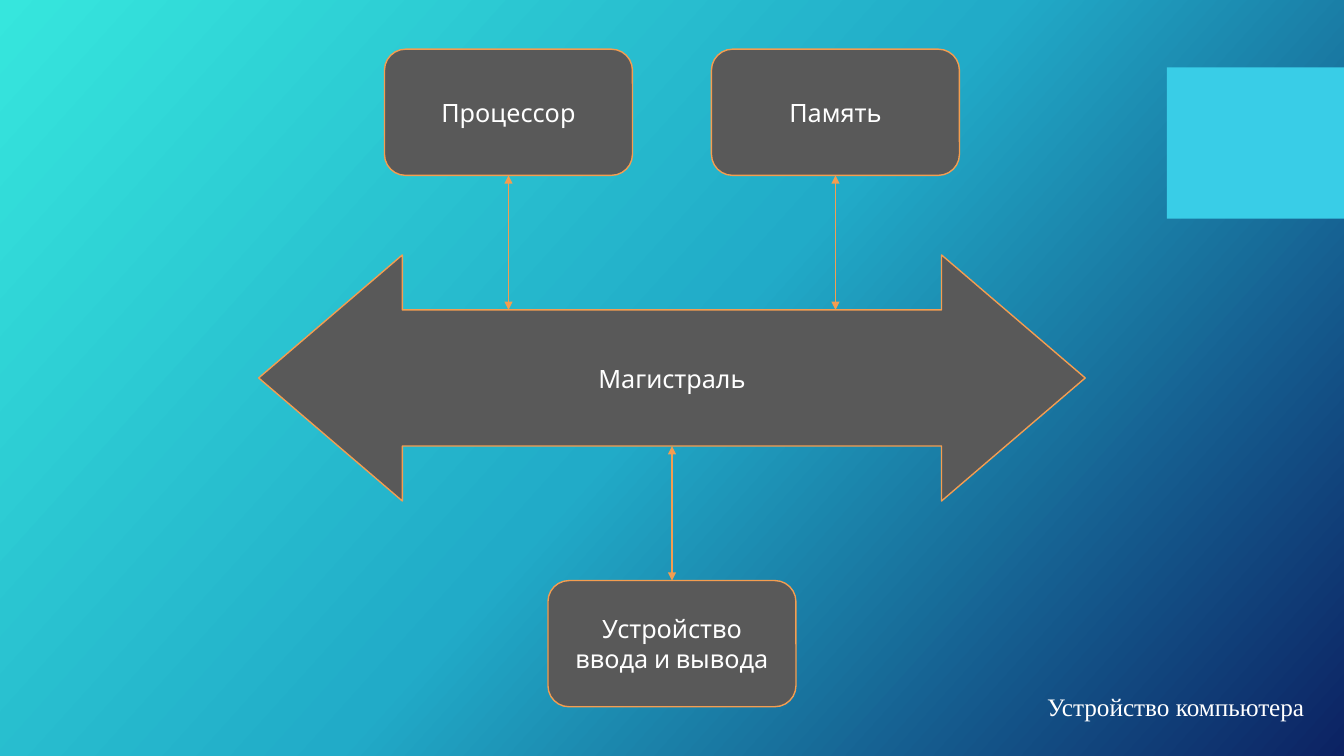
from copy import deepcopy

from lxml import etree
from pptx import Presentation
from pptx.dml.color import RGBColor
from pptx.enum.shapes import MSO_CONNECTOR, MSO_SHAPE
from pptx.enum.text import MSO_AUTO_SIZE, PP_ALIGN
from pptx.oxml.ns import qn
from pptx.util import Cm, Pt

RECTANGLE = MSO_SHAPE.RECTANGLE
ROUNDED = MSO_SHAPE.ROUNDED_RECTANGLE
DOUBLE_ARROW = MSO_SHAPE.LEFT_RIGHT_ARROW
STRAIGHT = MSO_CONNECTOR.STRAIGHT
CENTER = PP_ALIGN.CENTER
FIT_SHAPE = MSO_AUTO_SIZE.SHAPE_TO_FIT_TEXT

CAPTION = "Устройство компьютера"
BUS = "Магистраль"
DEVICES = [
    ("Процессор", -4.12, "above"),
    ("Память", 4.12, "above"),
    ("Устройство ввода и вывода", 0, "below"),
]

COLORS = {
    "block": "595959",
    "outline": "F49D50",
    "text": "FFFFFF",
    "accent": "39CDE7",
}
BACKGROUND = [(0, "36E6DD"), (0.5, "21ABC8"), (1, "0C2263")]
BACKGROUND_ANGLE = 42
BLOCK_FONT, CAPTION_FONT = "Cabin", "Times New Roman"

SLIDE_W, SLIDE_H = 33.87, 19.05
CENTER_X, CENTER_Y = SLIDE_W / 2, SLIDE_H / 2
DEVICE_W, DEVICE_H, MARGIN = 6.25, 3.18, 1.24
BUS_W, BUS_H = 20.83, 6.2
SHAFT_RATIO, HEAD_RATIO = 0.553, 0.584
ACCENT_BOX = (29.41, 1.7, 4.46, 3.81)
CAPTION_BOX = (26.14, 17.3, 7.01, 1.02)


def rgb(name):
    return RGBColor.from_string(COLORS[name])


def style_text(paragraph, text, font_name):
    paragraph.text = text
    paragraph.font.name = font_name
    paragraph.font.size = Pt(18)
    paragraph.font.color.rgb = rgb("text")


def paint_background(slide):
    fill = slide.background.fill
    fill.gradient()
    fill.gradient_angle = 360 - BACKGROUND_ANGLE
    stop_list = slide.element.find(".//" + qn("a:gsLst"))
    stop_list.insert(1, deepcopy(stop_list[0]))
    for stop, (position, color) in zip(fill.gradient_stops, BACKGROUND):
        stop.position = position
        stop.color.rgb = RGBColor.from_string(color)


def add_filled(slide, kind, box, color):
    shape = slide.shapes.add_shape(kind, *map(Cm, box))
    shape.shadow.inherit = False
    shape.fill.solid()
    shape.fill.fore_color.rgb = rgb(color)
    shape.line.fill.background()
    return shape


def add_block(slide, kind, text, box):
    block = add_filled(slide, kind, box, "block")
    block.line.color.rgb = rgb("outline")
    block.line.width = Pt(1)
    label = block.text_frame.paragraphs[0]
    label.alignment = CENTER
    style_text(label, text, BLOCK_FONT)
    return block


def add_link(slide, x, top, bottom):
    link = slide.shapes.add_connector(STRAIGHT, Cm(x), Cm(top), Cm(x), Cm(bottom))
    link.line.color.rgb = rgb("outline")
    link.line.width = Pt(0.75)
    outline = link.line._get_or_add_ln()
    for end in ("a:headEnd", "a:tailEnd"):
        etree.SubElement(outline, qn(end), type="triangle")
    etree.SubElement(outline.getparent(), qn("a:effectLst"))


def add_device(slide, text, offset, side):
    x = CENTER_X + offset
    half_shaft = BUS_H * SHAFT_RATIO / 2
    if side == "above":
        top = MARGIN
        link_ends = (top + DEVICE_H, CENTER_Y - half_shaft)
    else:
        top = SLIDE_H - MARGIN - DEVICE_H
        link_ends = (CENTER_Y + half_shaft, top)
    add_block(slide, ROUNDED, text, (x - DEVICE_W / 2, top, DEVICE_W, DEVICE_H))
    add_link(slide, x, *link_ends)


def add_caption(slide):
    frame = slide.shapes.add_textbox(*map(Cm, CAPTION_BOX)).text_frame
    frame.word_wrap = True
    frame.auto_size = FIT_SHAPE
    style_text(frame.paragraphs[0], CAPTION, CAPTION_FONT)


def main():
    deck = Presentation()
    deck.slide_width, deck.slide_height = Cm(SLIDE_W), Cm(SLIDE_H)
    slide = deck.slides.add_slide(deck.slide_layouts[6])
    paint_background(slide)
    add_filled(slide, RECTANGLE, ACCENT_BOX, "accent")
    bus_box = (CENTER_X - BUS_W / 2, CENTER_Y - BUS_H / 2, BUS_W, BUS_H)
    bus = add_block(slide, DOUBLE_ARROW, BUS, bus_box)
    bus.adjustments[0], bus.adjustments[1] = SHAFT_RATIO, HEAD_RATIO
    for device in DEVICES:
        add_device(slide, *device)
    add_caption(slide)
    deck.save("out.pptx")


if __name__ == "__main__":
    main()
